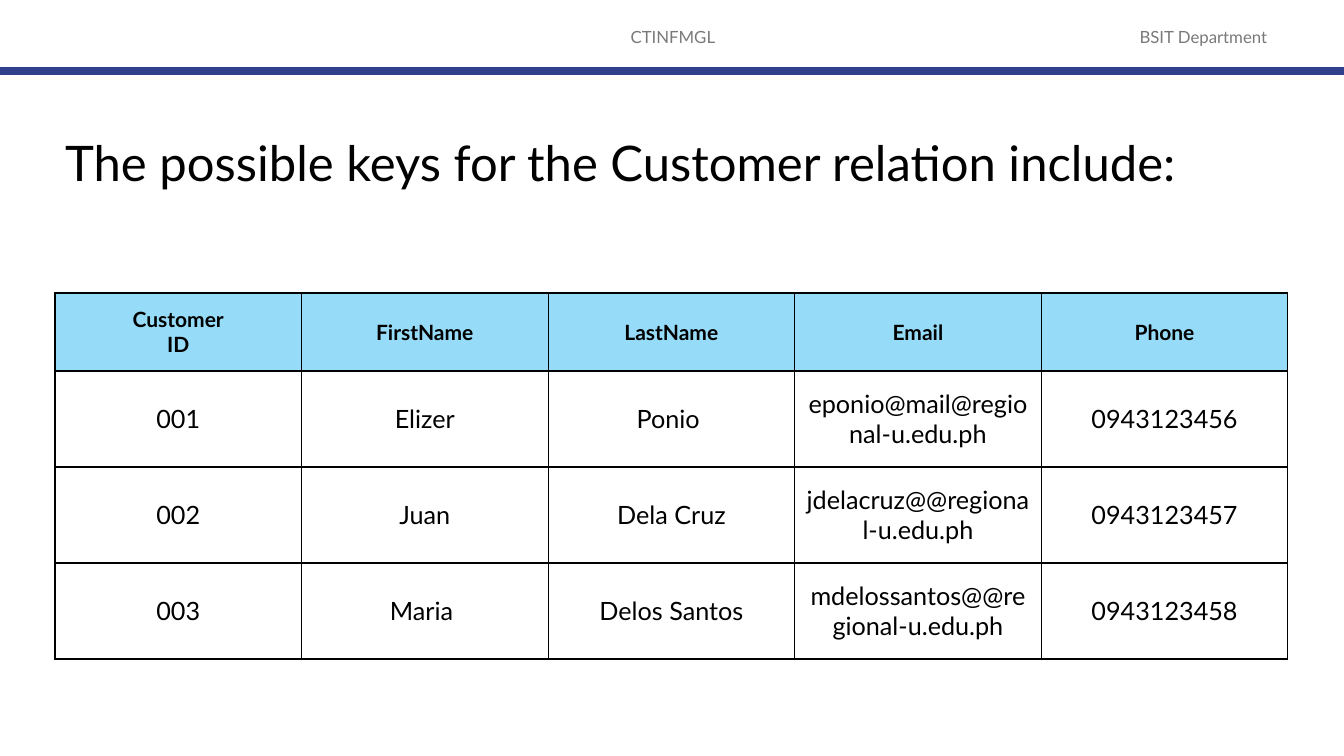
import pptx
import pptx.util
import pptx.dml.color
import pptx.enum.shapes
import pptx.enum.text
import pptx.oxml
import pptx.oxml.ns

FONT = "Lato"
BLACK, GREY, NAVY, SKY = "000000", "797979", "32418C", "96DCF8"
MID = pptx.enum.text.MSO_ANCHOR.MIDDLE
TOP = pptx.enum.text.MSO_ANCHOR.TOP
LEFT = pptx.enum.text.PP_ALIGN.LEFT
CENTER = pptx.enum.text.PP_ALIGN.CENTER
HEADS = ["Customer\nID", "FirstName", "LastName", "Email", "Phone"]
ROWS = [
    ["001", "Elizer", "Ponio ", "eponio@mail@regional-u.edu.ph", "0943123456"],
    ["002", "Juan", "Dela Cruz", "jdelacruz@@regional-u.edu.ph", "0943123457"],
    ["003", "Maria ", "Delos Santos", "mdelossantos@@regional-u.edu.ph", "0943123458"],
]


def px(n):
    return pptx.util.Emu(round(n * 914400 / 100.8))


def rgb(code):
    return pptx.dml.color.RGBColor.from_string(code)


def write(frame, text, size, color=BLACK, bold=False, align=CENTER):
    """Fill a text frame, one paragraph per line of text."""
    for i, line in enumerate(text.split("\n")):
        para = frame.add_paragraph() if i else frame.paragraphs[0]
        para.alignment = align
        run = para.add_run()
        run.text = line
        run.font.name = FONT
        run.font.size = pptx.util.Pt(size)
        run.font.bold = bold
        run.font.color.rgb = rgb(color)


def add_label(slide, text, x, y, w, h):
    frame = slide.shapes.add_textbox(px(x), px(y), px(w), px(h)).text_frame
    frame.word_wrap = True
    frame.vertical_anchor = MID
    write(frame, text, 12, GREY)


def add_rule(slide, y, width):
    """Draw the line across the slide under the labels."""
    rule = slide.shapes.add_connector(
        pptx.enum.shapes.MSO_CONNECTOR.STRAIGHT, 0, px(y), px(width), px(y))
    rule.line.color.rgb = rgb(NAVY)
    rule.line.width = pptx.util.Pt(6)
    rule._element.spPr.append(pptx.oxml.parse_xml(
        f"<a:effectLst {pptx.oxml.ns.nsdecls('a')}/>"))


def set_title(slide, text, x, y, w, h):
    title = slide.shapes.title
    title.left, title.top, title.width, title.height = map(px, (x, y, w, h))
    frame = title.text_frame
    frame.word_wrap = True
    frame.auto_size = pptx.enum.text.MSO_AUTO_SIZE.NONE
    frame.vertical_anchor = TOP
    write(frame, text, 35, align=LEFT)
    para = frame.paragraphs[0]
    para.line_spacing = 0.9
    para.space_before = pptx.util.Pt(10)


def add_edges(cell):
    """Put a thin black border on all four sides of a cell."""
    props = cell._tc.get_or_add_tcPr()
    for i, side in enumerate(("lnL", "lnR", "lnT", "lnB")):
        props.insert(i, pptx.oxml.parse_xml(
            f'<a:{side} {pptx.oxml.ns.nsdecls("a")} w="12700"><a:solidFill>'
            f'<a:srgbClr val="{BLACK}"/></a:solidFill></a:{side}>'))


def add_grid(slide, x, y, w, head, body):
    """Add the table, with a head row and body rows of the given heights."""
    data = [HEADS] + ROWS
    full = head + body * len(ROWS)
    grid = slide.shapes.add_table(
        len(data), len(HEADS), px(x), px(y), px(w), px(full)).table
    grid.first_row = grid.horz_banding = False
    for r, row in enumerate(data):
        grid.rows[r].height = px(body if r else head)
        for c, text in enumerate(row):
            cell = grid.cell(r, c)
            cell.vertical_anchor = MID
            if r:
                cell.fill.background()
            else:
                cell.fill.solid()
                cell.fill.fore_color.rgb = rgb(SKY)
            write(cell.text_frame, text, 18 if r else 15, bold=not r)
            add_edges(cell)


def main():
    deck = pptx.Presentation()
    deck.slide_width, deck.slide_height = px(1344), px(756)
    slide = deck.slides.add_slide(deck.slide_layouts[5])
    add_label(slide, "CTINFMGL", 446, 17, 454, 40)
    add_label(slide, "BSIT Department", 1100, 17, 207, 40)
    add_rule(slide, 71, 1344)
    set_title(slide, "The possible keys for the Customer relation include:",
              55, 134, 1233, 104)
    add_grid(slide, 55, 293, 1233, 78, 96)
    deck.save("out.pptx")


if __name__ == "__main__":
    main()
